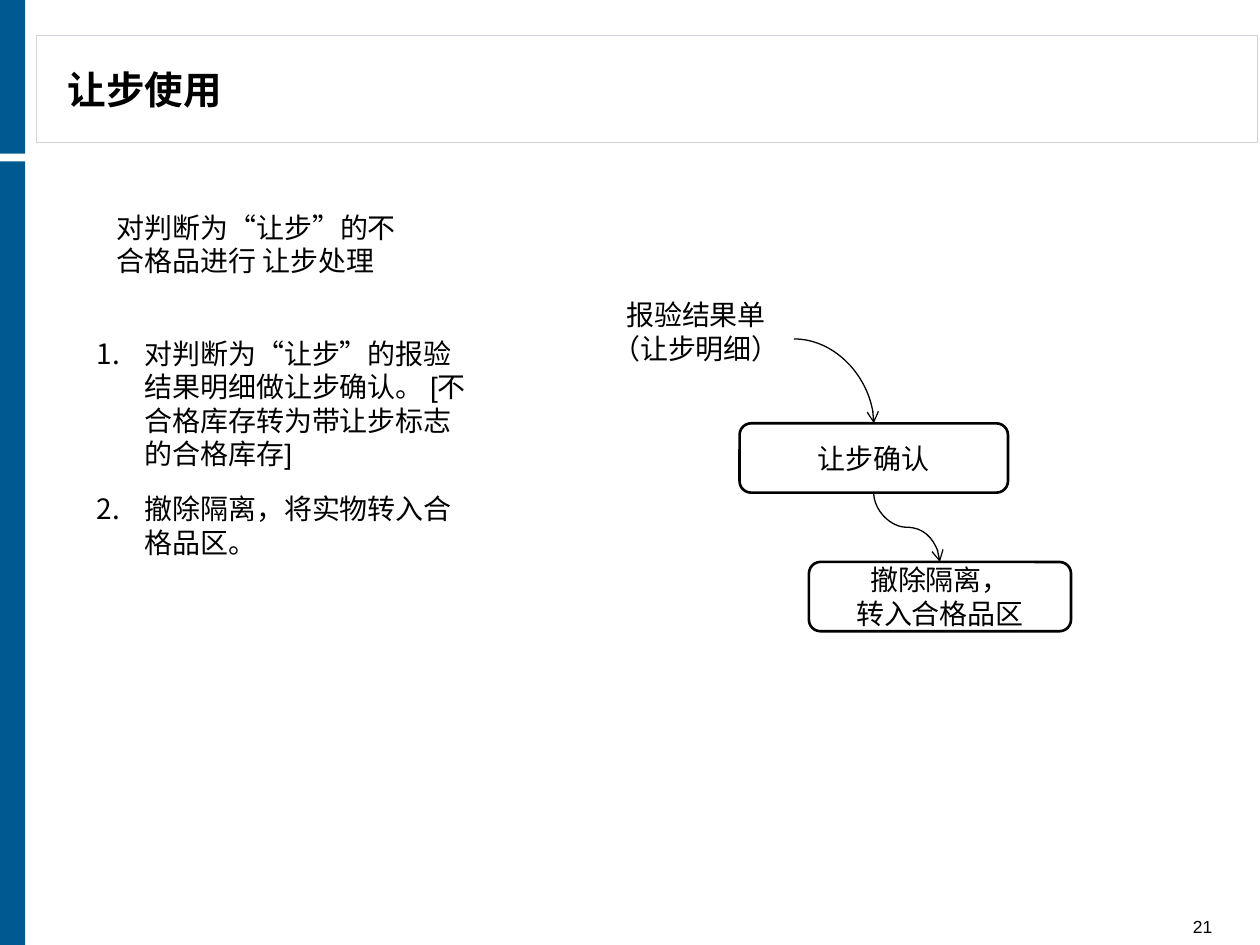
from lxml import etree
from pptx import Presentation
from pptx import util as u
from pptx.dml.color import RGBColor
from pptx.enum import lang, shapes, text
from pptx.oxml.ns import qn

FONT = "Arial"
COLORS = {"white": "FFFFFF", "black": "000000", "blue": "005A92", "frame": "D0D3DA"}

TITLE = "让步使用"
PAGE_NUMBER = "21"
SUMMARY = "对判断为“让步”的不合格品进行 让步处理"
STEPS = [
    "对判断为“让步”的报验结果明细做让步确认。 [不合格库存转为带让步标志的合格库存]",
    "撤除隔离，将实物转入合格品区。",
]
SOURCE_FORM = "报验结果单（让步明细）"
# left, top, width, height of each process box
CONFIRM = (["让步确认"], (5.87, 3.36, 2.13, 0.55))
RELEASE = (["撤除隔离，", "转入合格品区"], (6.42, 4.46, 2.08, 0.55))

SIDE_BARS = [(0, 1.28, 0.2, 6.22), (0, 0, 0.2, 1.22)]
TITLE_FRAME = (0.29, 0.28, 9.69, 0.85)
HANG = 0.38

RECT = shapes.MSO_SHAPE.RECTANGLE
ROUNDED = shapes.MSO_SHAPE.ROUNDED_RECTANGLE
DOCUMENT = shapes.MSO_SHAPE.FLOWCHART_DOCUMENT


def rgb(name):
    return RGBColor.from_string(COLORS[name])


def write(box, lines, size=16, bold=False, align=text.PP_ALIGN.LEFT,
          anchor=text.MSO_ANCHOR.MIDDLE, inset=0, numbered=False):
    frame = box.text_frame
    frame.word_wrap = True
    frame.vertical_anchor = anchor
    frame.margin_left = frame.margin_right = u.Inches(0.1)
    frame.margin_top = frame.margin_bottom = u.Inches(inset)
    for index, line in enumerate(lines):
        para = frame.add_paragraph() if index else frame.paragraphs[0]
        para.alignment = align
        span = para.add_run()
        span.text = line
        font = span.font
        font.name, font.size, font.bold = FONT, u.Pt(size), bold
        font.color.rgb = rgb("black")
        font.language_id = lang.MSO_LANGUAGE_ID.SIMPLIFIED_CHINESE
        if numbered:
            para.space_before = para.space_after = u.Pt(6)
            props = para._p.get_or_add_pPr()
            props.set("marL", str(u.Inches(HANG)))
            props.set("indent", str(u.Inches(-HANG)))
            etree.SubElement(props, qn("a:buAutoNum"), type="arabicPeriod")


def add_text(page, place, lines, **style):
    write(page.shapes.add_textbox(*map(u.Inches, place)), lines, **style)


def add_box(page, kind, place, fill="white", line=None, width=1.5):
    box = page.shapes.add_shape(kind, *map(u.Inches, place))
    box.shadow.inherit = False
    box.fill.solid()
    box.fill.fore_color.rgb = rgb(fill)
    if line:
        box.line.color.rgb = rgb(line)
        box.line.width = u.Pt(width)
    else:
        box.line.fill.background()
    return box


def add_curve(page, start, end, preset):
    arrow = page.shapes.add_connector(
        shapes.MSO_CONNECTOR.CURVE, *map(u.Inches, (*start, *end)))
    arrow.line.color.rgb = rgb("black")
    arrow.line.width = u.Pt(0.75)
    props = arrow._element.spPr
    props.find(qn("a:prstGeom")).set("prst", preset)
    etree.SubElement(props.find(qn("a:ln")), qn("a:tailEnd"), type="arrow")
    etree.SubElement(props, qn("a:effectLst"))
    return arrow


def add_vertical_curve(page, start, end):
    """S-curve that leaves and arrives vertically: a mirrored curve turned 270 degrees."""
    mid_x, mid_y = (start[0] + end[0]) / 2, (start[1] + end[1]) / 2
    half_w, half_h = (end[1] - start[1]) / 2, (end[0] - start[0]) / 2
    arrow = add_curve(page, (mid_x + half_w, mid_y - half_h),
                      (mid_x - half_w, mid_y + half_h), "curvedConnector3")
    arrow._element.spPr.find(qn("a:xfrm")).set("rot", str(270 * 60000))


def top_center(place):
    left, top, width, _ = place
    return left + width / 2, top


def bottom_center(place):
    left, top, width, height = place
    return left + width / 2, top + height


def main():
    deck = Presentation()
    deck.slide_width, deck.slide_height = u.Inches(10), u.Inches(7.5)
    page = deck.slides.add_slide(deck.slide_layouts[6])
    center = text.PP_ALIGN.CENTER

    add_box(page, RECT, TITLE_FRAME, line="frame", width=0.75)
    for bar in SIDE_BARS:
        add_box(page, RECT, bar, fill="blue")
    add_text(page, (0.44, 0.31, 6.3, 0.79), [TITLE], size=22, bold=True)
    add_text(page, (8.78, 7.26, 0.94, 0.18), [PAGE_NUMBER], size=10,
             align=text.PP_ALIGN.RIGHT, anchor=text.MSO_ANCHOR.BOTTOM)

    form = add_box(page, DOCUMENT, (4.76, 2.41, 1.53, 0.55))
    write(form, [SOURCE_FORM], align=center)
    for lines, place in (CONFIRM, RELEASE):
        write(add_box(page, ROUNDED, place, line="black"), lines, align=center)
    add_curve(page, (6.3, 2.69), top_center(CONFIRM[1]), "curvedConnector2")
    add_vertical_curve(page, bottom_center(CONFIRM[1]), top_center(RELEASE[1]))

    write(add_box(page, DOCUMENT, (0.67, 2.1, 3.15, 3.62)), STEPS, numbered=True)
    add_text(page, (0.83, 1.62, 2.5, 0.64), [SUMMARY],
             anchor=text.MSO_ANCHOR.TOP, inset=0.05)

    deck.save("out.pptx")


if __name__ == "__main__":
    main()
